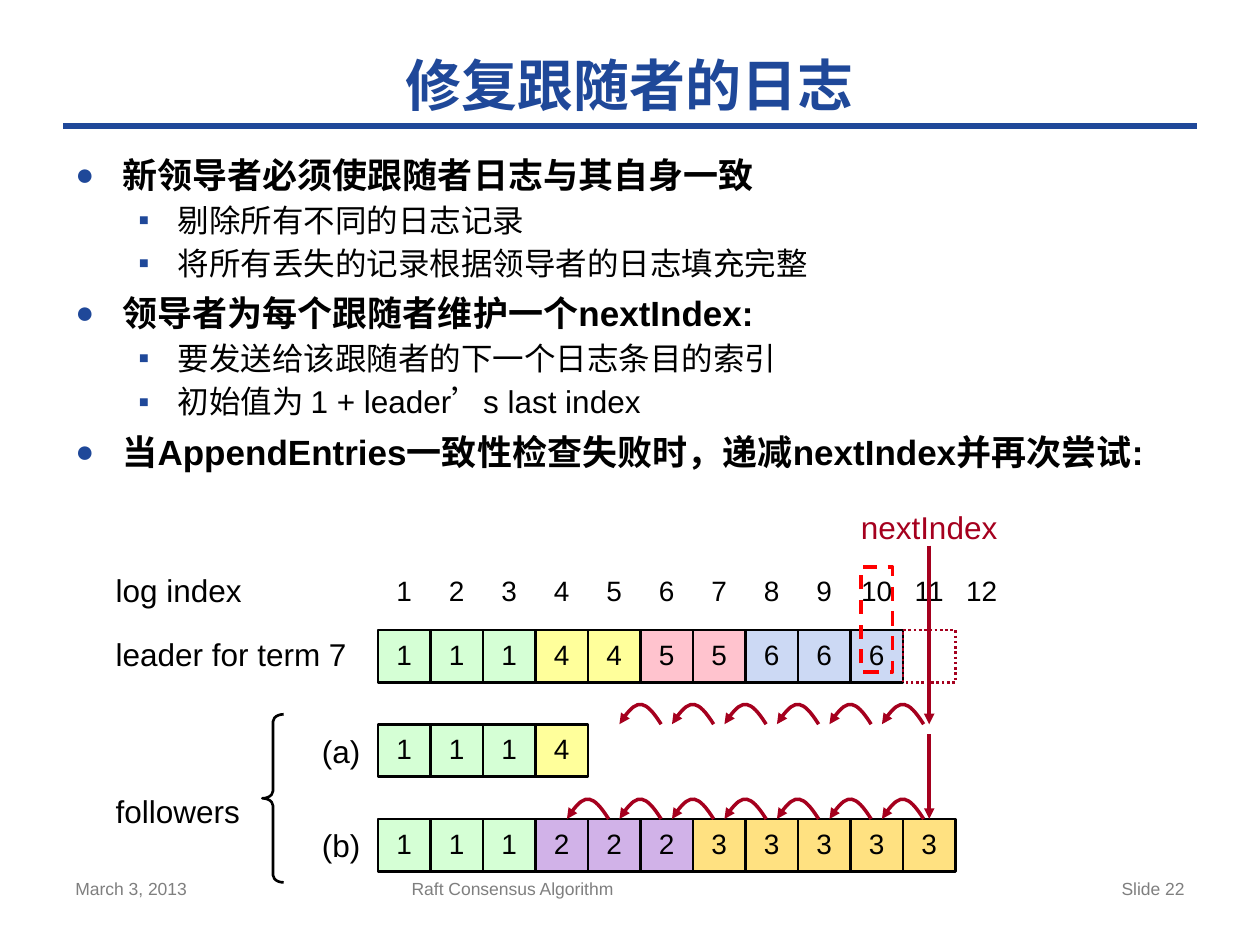
import pptx
import pptx.dml.color
import pptx.enum.dml
import pptx.enum.shapes
import pptx.enum.text
import pptx.oxml.ns
import pptx.util
from lxml import etree

Cm, Pt = pptx.util.Cm, pptx.util.Pt
SHAPES = pptx.enum.shapes.MSO_SHAPE
DASHES = pptx.enum.dml.MSO_LINE
ALIGN = pptx.enum.text.PP_ALIGN
MIDDLE = pptx.enum.text.MSO_ANCHOR.MIDDLE

BLUE, BLACK, GREY, CRIMSON = "1F4899", "000000", "7F7F7F", "A5001E"
GREEN, YELLOW, PINK = "D5FFD5", "FFFF9B", "FFC3CE"
PALE_BLUE, PURPLE, GOLD = "CCD9F4", "D1B2E8", "FFE181"
LEADER_FILLS = {1: GREEN, 4: YELLOW, 5: PINK, 6: PALE_BLUE}
FOLLOWER_FILLS = {1: GREEN, 2: PURPLE, 3: GOLD, 4: YELLOW}

CELL = 12.7 / 12   # side of one log entry, in cm
PADDING = (0.25, 0.13)

deck = pptx.Presentation()
deck.slide_width, deck.slide_height = Cm(25.4), Cm(19.05)
slide = deck.slides.add_slide(deck.slide_layouts[6])


def color(target, value):
    target.rgb = pptx.dml.color.RGBColor.from_string(value)


def add_xml(parent, tag, **attributes):
    element = etree.SubElement(parent, pptx.oxml.ns.qn(tag))
    for name, value in attributes.items():
        element.set(name, str(value))
    return element


def style_text(paragraph, size, tint=BLACK, font="Arial", bold=False):
    for run in paragraph.runs:
        run.font.size, run.font.name, run.font.bold = Pt(size), font, bold
        color(run.font.color, tint)


def style_line(shape, tint, width, dash=None, arrow=False):
    color(shape.line.color, tint)
    shape.line.width = Pt(width)
    if dash:
        shape.line.dash_style = dash
    if arrow:
        add_xml(shape.line._get_or_add_ln(), "a:tailEnd", type="triangle")


def set_padding(frame, across, down):
    frame.margin_left = frame.margin_right = Cm(across)
    frame.margin_top = frame.margin_bottom = Cm(down)


def label(box, words, size, tint=BLACK, align=ALIGN.LEFT, padding=(0, 0),
          spacing=None, wrap=True, **font):
    area = slide.shapes.add_textbox(*map(Cm, box))
    frame = area.text_frame
    frame.word_wrap = wrap
    set_padding(frame, *padding)
    frame.text = words
    paragraph = frame.paragraphs[0]
    paragraph.alignment = align
    if spacing:
        paragraph.line_spacing = Pt(spacing)
    style_text(paragraph, size, tint, **font)
    return frame


def outline(kind, box, tint, width, dash=None, fill=None):
    shape = slide.shapes.add_shape(kind, *map(Cm, box))
    shape.shadow.inherit = False
    if fill:
        shape.fill.solid()
        color(shape.fill.fore_color, fill)
    else:
        shape.fill.background()
    style_line(shape, tint, width, dash)
    return shape


def straight_line(start, end, tint, width, arrow=False):
    line = slide.shapes.add_connector(
        pptx.enum.shapes.MSO_CONNECTOR.STRAIGHT, *map(Cm, start + end))
    style_line(line, tint, width, arrow=arrow)
    add_xml(line._element.spPr, "a:effectLst")


def heading(left, top, width, height):
    frame = label((left, top, width, height), "修复跟随者的日志", 32, BLUE,
                  ALIGN.CENTER, PADDING, font="Open Sans", bold=True)
    frame.vertical_anchor = MIDDLE
    straight_line((left, top + height), (left + width, top + height), BLUE, 4)


def bullet_list(box, points):
    frame = label(box, "\n".join(words for _, words in points), 20, padding=PADDING)
    frame.margin_right = Cm(0.35)
    for number, (paragraph, (level, _)) in enumerate(zip(frame.paragraphs, points)):
        paragraph.level = level
        paragraph.alignment = ALIGN.LEFT
        paragraph.space_before = Pt(3 if level else 6 if number else 12)
        style_text(paragraph, 18 if level else 20, bold=not level)
        properties = paragraph._p.get_or_add_pPr()
        properties.set("marL", str(Cm(2.06 if level else 0.95)))
        properties.set("indent", str(-Cm(0.79 if level else 0.95)))
        add_xml(add_xml(properties, "a:buClr"), "a:srgbClr", val=BLUE)
        if not level:
            add_xml(properties, "a:buSzPct", val=90000)
        add_xml(properties, "a:buFont", typeface="Arial")
        add_xml(properties, "a:buChar", char="▪" if level else "●")


def log_row(left, top, terms, fills):
    for column, term in enumerate(terms):
        entry = outline(SHAPES.RECTANGLE, (left + column * CELL, top, CELL, CELL),
                        BLACK, 1.5, fill=fills[term])
        frame = entry.text_frame
        set_padding(frame, 0, 0)
        frame.vertical_anchor = MIDDLE
        frame.text = str(term)
        paragraph = frame.paragraphs[0]
        paragraph.alignment = ALIGN.CENTER
        paragraph.line_spacing = Pt(17)
        style_text(paragraph, 16)


def index_row(left, top):
    for index in range(1, 13):
        width = 1.48 if index > 9 else CELL
        center = left + (index - 0.5) * CELL
        label((center - width / 2, top, width, 0.94), str(index), 16,
              align=ALIGN.CENTER, padding=PADDING)


def hop(left, bottom):
    """Draw one curved step back, from right to left."""
    width, height = 0.84, 0.38
    builder = slide.shapes.build_freeform(Cm(left + width), Cm(bottom), scale=1.0)
    builder.add_line_segments([(Cm(left + width / 2), Cm(bottom - height)),
                               (Cm(left), Cm(bottom))], close=False)
    curve = builder.convert_to_shape()
    curve.shadow.inherit = False
    curve.fill.background()
    style_line(curve, CRIMSON, 2, arrow=True)
    # Bend the two segments into one Bezier
    outline_path = next(curve._element.iter(pptx.oxml.ns.qn("a:path")))
    for segment in outline_path.findall(pptx.oxml.ns.qn("a:lnTo")):
        outline_path.remove(segment)
    bend = add_xml(outline_path, "a:cubicBezTo")
    for x, y in ((0.62, -1 / 3), (0.37, -1 / 3), (0, 1)):
        add_xml(bend, "a:pt", x=Cm(width * x), y=Cm(height * y))


def log_diagram(left, top):
    logs = left + 5.29
    leader, follower_a, follower_b = top + 2.36, top + 4.26, top + 6.17
    next_x = logs + 10.5 * CELL

    # Log entries and their indexes
    index_row(logs, top + 1.09)
    log_row(logs, leader, [1, 1, 1, 4, 4, 5, 5, 6, 6, 6], LEADER_FILLS)
    log_row(logs, follower_a, [1, 1, 1, 4], FOLLOWER_FILLS)
    log_row(logs, follower_b, [1] * 3 + [2] * 3 + [3] * 5, FOLLOWER_FILLS)

    # Row labels
    label((left, top + 1.17, 3.18, 0.76), "log index", 18)
    label((left, leader + 0.2, 5.08, 0.69), "leader for term 7", 18, spacing=19)
    label((left, top + 5.72, 2.54, 0.69), "followers", 18, spacing=19, wrap=False)
    for words, row in (("(a)", follower_a), ("(b)", follower_b)):
        label((logs - 1.27, row + 0.15, CELL, 0.76), words, 18, align=ALIGN.CENTER)
    brace = outline(SHAPES.RIGHT_BRACE, (left + 2.96, top + 4.06, 0.43, 3.39), BLACK, 1.5)
    brace.adjustments[0], brace.adjustments[1] = 0.34, 0.5
    brace._element.spPr.find(pptx.oxml.ns.qn("a:xfrm")).set("flipH", "1")

    # Steps back through each follower's log
    for row, first in ((follower_b, 4), (follower_a, 5)):
        for column in range(first - 1, 10):
            hop(logs + (column + 0.6) * CELL, row)

    # The nextIndex pointer
    straight_line((next_x, top + 0.66), (next_x, follower_a), CRIMSON, 2, True)
    straight_line((next_x, follower_a + 0.2), (next_x, follower_b), CRIMSON, 2, True)
    label((next_x - 1.38, top, 2.77, 0.69), "nextIndex", 18, CRIMSON,
          spacing=19, wrap=False)
    outline(SHAPES.RECTANGLE, (logs + 10 * CELL, leader, CELL, CELL),
            CRIMSON, 1.5, DASHES.ROUND_DOT)
    outline(SHAPES.RECTANGLE, (next_x - 1.38, top + 1.09, 0.64, 2.12),
            "FF0000", 2, DASHES.DASH)


def footer(left, top, width, height):
    side = 5.92
    label((left, top, side, height), "March 3, 2013", 10, GREY, padding=PADDING)
    label((left + 6.78, top, 9.53, height), "Raft Consensus Algorithm", 10, GREY,
          padding=PADDING)
    label((left + width - side, top, side, height), "Slide 22", 10, GREY,
          ALIGN.RIGHT, PADDING)


heading(1.27, 0.84, 22.86, 1.7)
bullet_list((1.27, 2.96, 22.86, 8.47), [
    (0, "新领导者必须使跟随者日志与其自身一致"),
    (1, "剔除所有不同的日志记录"),
    (1, "将所有丢失的记录根据领导者的日志填充完整"),
    (0, "领导者为每个跟随者维护一个nextIndex:"),
    (1, "要发送给该跟随者的下一个日志条目的索引"),
    (1, "初始值为 1 + leader’s last index"),
    (0, "当AppendEntries一致性检查失败时，递减nextIndex并再次尝试:"),
])
log_diagram(2.33, 10.34)
footer(1.27, 17.58, 22.86, 1.09)
deck.save("out.pptx")
